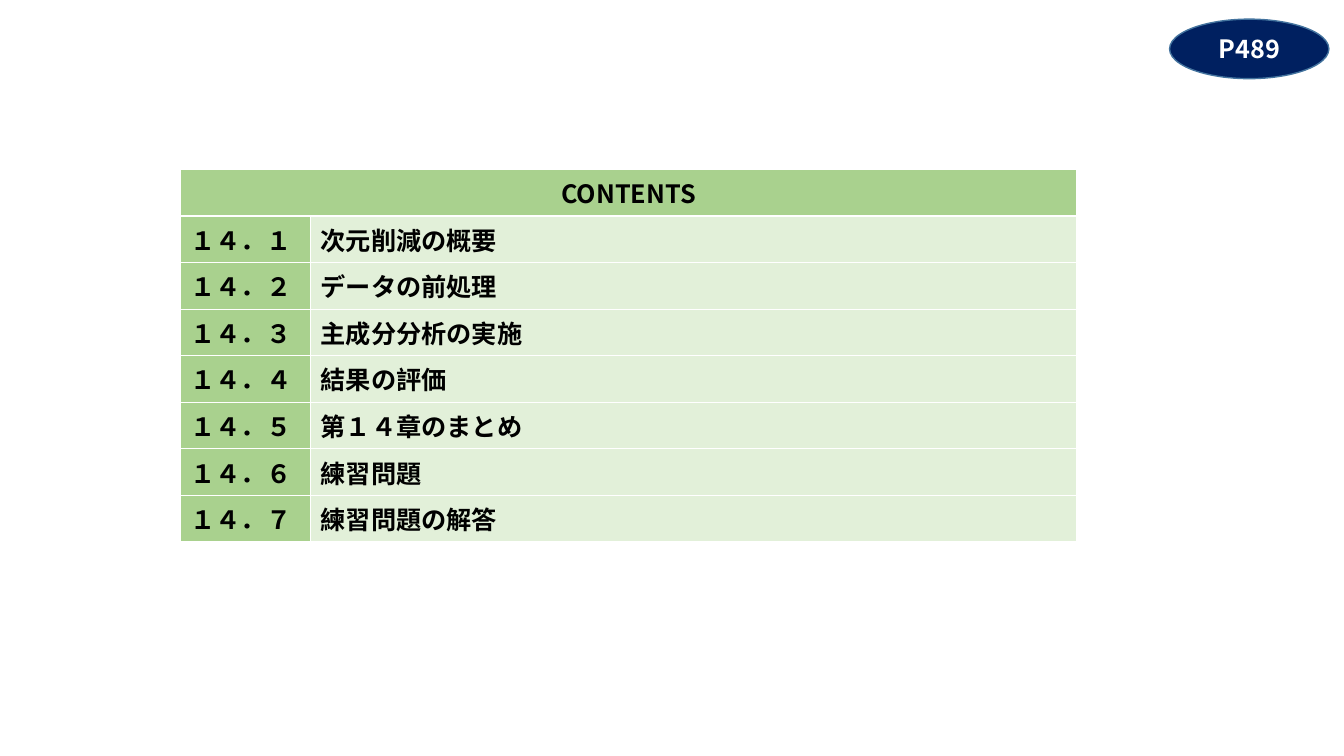
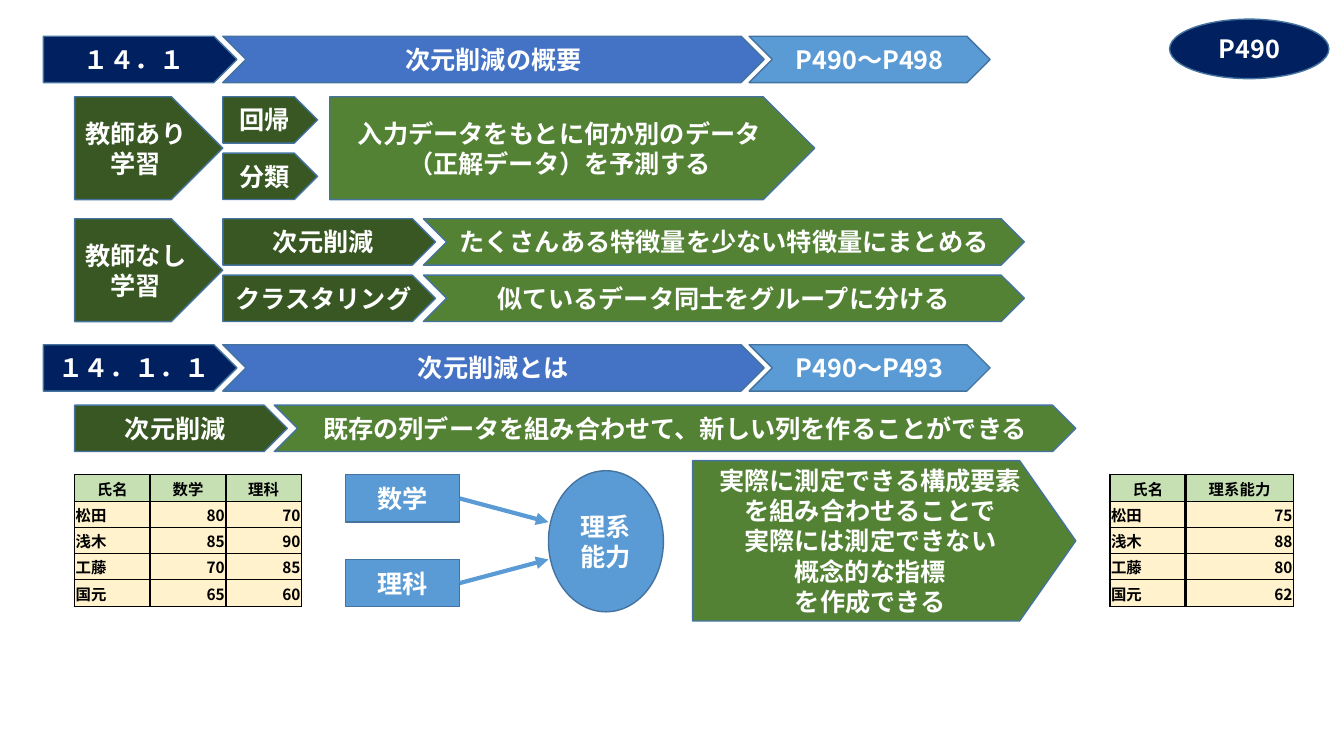
from lxml import etree
from pptx import Presentation
from pptx.dml.color import RGBColor
from pptx.enum import shapes, text
from pptx.oxml import ns
from pptx.util import Inches, Pt

# Shared look
FONT = "Noto Sans CJK JP"
NAVY = RGBColor(0x00, 0x20, 0x60)
BLUE = RGBColor(0x44, 0x72, 0xC4)
SKY = RGBColor(0x5B, 0x9B, 0xD5)
OUTLINE = RGBColor(0x43, 0x73, 0x9E)
DARK_GREEN = RGBColor(0x38, 0x57, 0x23)
GREEN = RGBColor(0x54, 0x82, 0x35)
LEAF = RGBColor(0xA9, 0xD1, 0x8E)
PALE_LEAF = RGBColor(0xE2, 0xF0, 0xD9)
SCORE_HEAD = RGBColor(0xC6, 0xE0, 0xB4)
CREAM = RGBColor(0xFF, 0xF2, 0xCC)
BLACK = RGBColor(0, 0, 0)
WHITE = RGBColor(0xFF, 0xFF, 0xFF)

KIND = shapes.MSO_SHAPE
ALIGN = text.PP_ALIGN
PLATE, CHEVRON = KIND.PENTAGON, KIND.CHEVRON

# Content
CHAPTER_PAGE, SECTION_PAGE = "P489", "P490"
CONTENTS_HEAD = "CONTENTS"
CONTENTS = [
    ("１４．１", "次元削減の概要"),
    ("１４．２", "データの前処理"),
    ("１４．３", "主成分分析の実施"),
    ("１４．４", "結果の評価"),
    ("１４．５", "第１４章のまとめ"),
    ("１４．６", "練習問題"),
    ("１４．７", "練習問題の解答"),
]
SECTIONS = [
    (0.36, "１４．１", "次元削減の概要", "P490～P498"),
    (3.42, "１４．１．１", "次元削減とは", "P490～P493"),
]
SUPERVISED = "教師あり\n学習", ["回帰", "分類"]
PREDICTION = "入力データをもとに何か別のデータ（正解データ）を予測する"
UNSUPERVISED = "教師なし\n学習", [
    ("次元削減", "たくさんある特徴量を少ない特徴量にまとめる"),
    ("クラスタリング", "似ているデータ同士をグループに分ける"),
]
REDUCTION = "次元削減", "既存の列データを組み合わせて、新しい列を作ることができる"
SUBJECTS = ["数学", "理科"]
ABILITY = "理系能力"
BENEFIT = ("実際に測定できる構成要素\nを組み合わせることで\n実際には測定できない\n"
           "概念的な指標\nを作成できる")
SUBJECT_SCORES = [
    ("氏名", "数学", "理科"),
    ("松田", "80", "70"),
    ("浅木", "85", "90"),
    ("工藤", "70", "85"),
    ("国元", "65", "60"),
]
ABILITY_SCORES = [
    ("氏名", "理系能力"),
    ("松田", "75"),
    ("浅木", "88"),
    ("工藤", "80"),
    ("国元", "62"),
]

# Grid of the section slide
BAR = 0.46
STEP = 0.56
BLOCK = STEP + BAR
LEFT = 0.74
BRANCH = 2.21
FIGURE_TOP = 4.71


def write(frame, words, size=18, color=WHITE, align=ALIGN.CENTER):
    for i, line in enumerate(words.split("\n")):
        paragraph = frame.paragraphs[0] if i == 0 else frame.add_paragraph()
        paragraph.alignment = align
        run = paragraph.add_run()
        run.text = line
        font = run.font
        font.name, font.size, font.bold = FONT, Pt(size), True
        font.color.rgb = color
        east_asian = etree.SubElement(font._element, ns.qn("a:ea"))
        east_asian.set("typeface", FONT)


def add_box(slide, kind, left, top, width, height, fill, words):
    box = slide.shapes.add_shape(kind, Inches(left), Inches(top), Inches(width), Inches(height))
    box.shadow.inherit = False
    box.fill.solid()
    box.fill.fore_color.rgb = fill
    box.line.color.rgb = OUTLINE
    box.line.width = Pt(1)
    box.text_frame.word_wrap = True
    box.text_frame.vertical_anchor = text.MSO_ANCHOR.MIDDLE
    write(box.text_frame, words)
    return box


def add_page_badge(slide, page):
    add_box(slide, KIND.OVAL, 11.6, 0.19, 1.58, 0.59, NAVY, page)


def add_section_bar(slide, top, number, heading, pages):
    add_box(slide, PLATE, 0.43, top, 1.92, BAR, NAVY, number)
    add_box(slide, CHEVRON, BRANCH, top, 5.37, BAR, BLUE, heading)
    add_box(slide, CHEVRON, 7.43, top, 2.39, BAR, SKY, pages)


def add_arrow(slide, start, end):
    arrow = slide.shapes.add_connector(
        shapes.MSO_CONNECTOR.STRAIGHT, *(Inches(n) for n in (*start, *end)))
    arrow.line.color.rgb = SKY
    arrow.line.width = Pt(3)
    etree.SubElement(arrow.line._get_or_add_ln(), ns.qn("a:tailEnd")).set("type", "triangle")
    etree.SubElement(arrow._element.spPr, ns.qn("a:effectLst"))


def set_borders(cell, color, **widths):
    properties = cell._tc.get_or_add_tcPr()
    for side in "LRTB":
        line = etree.SubElement(properties, ns.qn(f"a:ln{side}"), w=str(Pt(widths[side])))
        fill = etree.SubElement(line, ns.qn("a:solidFill"))
        etree.SubElement(fill, ns.qn("a:srgbClr"), val=str(color))


def add_grid(slide, left, top, widths, heights, border, outer=1, upright=1, level=1):
    """Add an unstyled table; the inner lines may differ from the outer ones."""
    rows, cols = len(heights), len(widths)
    table = slide.shapes.add_table(rows, cols, Inches(left), Inches(top),
                                   Inches(sum(widths)), Inches(sum(heights))).table
    table.first_row = table.horz_banding = False
    for column, width in zip(table.columns, widths):
        column.width = Inches(width)
    for row, height in zip(table.rows, heights):
        row.height = Inches(height)
    for r in range(rows):
        for c in range(cols):
            set_borders(table.cell(r, c), border,
                        L=upright if c else outer,
                        R=upright if c < cols - 1 else outer,
                        T=level if r else outer,
                        B=level if r < rows - 1 else outer)
    return table


def fill_cell(cell, fill, words, **form):
    cell.fill.solid()
    cell.fill.fore_color.rgb = fill
    write(cell.text_frame, words, color=BLACK, **form)


def add_scores(slide, left, widths, scores):
    table = add_grid(slide, left, FIGURE_TOP, widths, [0.26] * 4 + [0.27], BLACK,
                     upright=2, level=0.5)
    for r, record in enumerate(scores):
        for c, value in enumerate(record):
            cell = table.cell(r, c)
            cell.margin_left = cell.margin_right = cell.margin_top = Inches(0.01)
            cell.margin_bottom = 0
            cell.vertical_anchor = text.MSO_ANCHOR.MIDDLE
            align = ALIGN.CENTER if r == 0 else ALIGN.RIGHT if c else ALIGN.LEFT
            fill_cell(cell, CREAM if r else SCORE_HEAD, value, size=11, align=align)


def build_contents(slide):
    table = add_grid(slide, 1.79, 1.68, [1.29, 7.6], [0.41] * (len(CONTENTS) + 1), WHITE)
    table.cell(0, 0).merge(table.cell(0, 1))
    fill_cell(table.cell(0, 0), LEAF, CONTENTS_HEAD)
    for r, (number, heading) in enumerate(CONTENTS, 1):
        fill_cell(table.cell(r, 0), LEAF, number, align=ALIGN.LEFT)
        fill_cell(table.cell(r, 1), PALE_LEAF, heading, align=ALIGN.LEFT)
    add_page_badge(slide, CHAPTER_PAGE)


def build_section(slide):
    for section in SECTIONS:
        add_section_bar(slide, *section)
    add_page_badge(slide, SECTION_PAGE)

    # Supervised learning
    top = 0.96
    learning, tasks = SUPERVISED
    for i, task in enumerate(tasks):
        add_box(slide, PLATE, BRANCH, top + i * STEP, 0.94, BAR, DARK_GREEN, task)
    add_box(slide, PLATE, LEFT, top, 1.47, BLOCK, DARK_GREEN, learning)
    add_box(slide, PLATE, 3.27, top, 4.81, BLOCK, GREEN, PREDICTION)

    # Unsupervised learning
    top = 2.17
    learning, tasks = UNSUPERVISED
    add_box(slide, PLATE, LEFT, top, 1.47, BLOCK, DARK_GREEN, learning)
    for i, (task, meaning) in enumerate(tasks):
        add_box(slide, PLATE, BRANCH, top + i * STEP, 2.11, BAR, DARK_GREEN, task)
        add_box(slide, CHEVRON, 4.2, top + i * STEP, 5.96, BAR, GREEN, meaning)

    # Dimensionality reduction
    method, meaning = REDUCTION
    add_box(slide, PLATE, LEFT, 4.02, 2.11, BAR, DARK_GREEN, method)
    add_box(slide, CHEVRON, 2.72, 4.02, 7.95, BAR, GREEN, meaning)

    # Subjects combined into one ability
    add_scores(slide, LEFT, [0.75] * 3, SUBJECT_SCORES)
    add_box(slide, KIND.OVAL, 5.44, 4.67, 1.14, 1.4, SKY, ABILITY)
    for i, subject in enumerate(SUBJECTS):
        top = FIGURE_TOP + i * 0.84
        add_box(slide, KIND.RECTANGLE, 3.43, top, 1.13, 0.47, SKY, subject)
        add_arrow(slide, (4.56, top + 0.235), (5.44, 5.18 + i * 0.37))
    benefit = add_box(slide, PLATE, 6.87, 4.57, 3.8, 1.59, GREEN, BENEFIT)
    benefit.adjustments[0] = 0.35
    add_scores(slide, 11.01, [0.75, 1.07], ABILITY_SCORES)


def main():
    deck = Presentation()
    deck.slide_width, deck.slide_height = Inches(13.33), Inches(7.5)
    blank = deck.slide_layouts[6]
    for build in (build_contents, build_section):
        build(deck.slides.add_slide(blank))
    deck.save("out.pptx")


if __name__ == "__main__":
    main()
